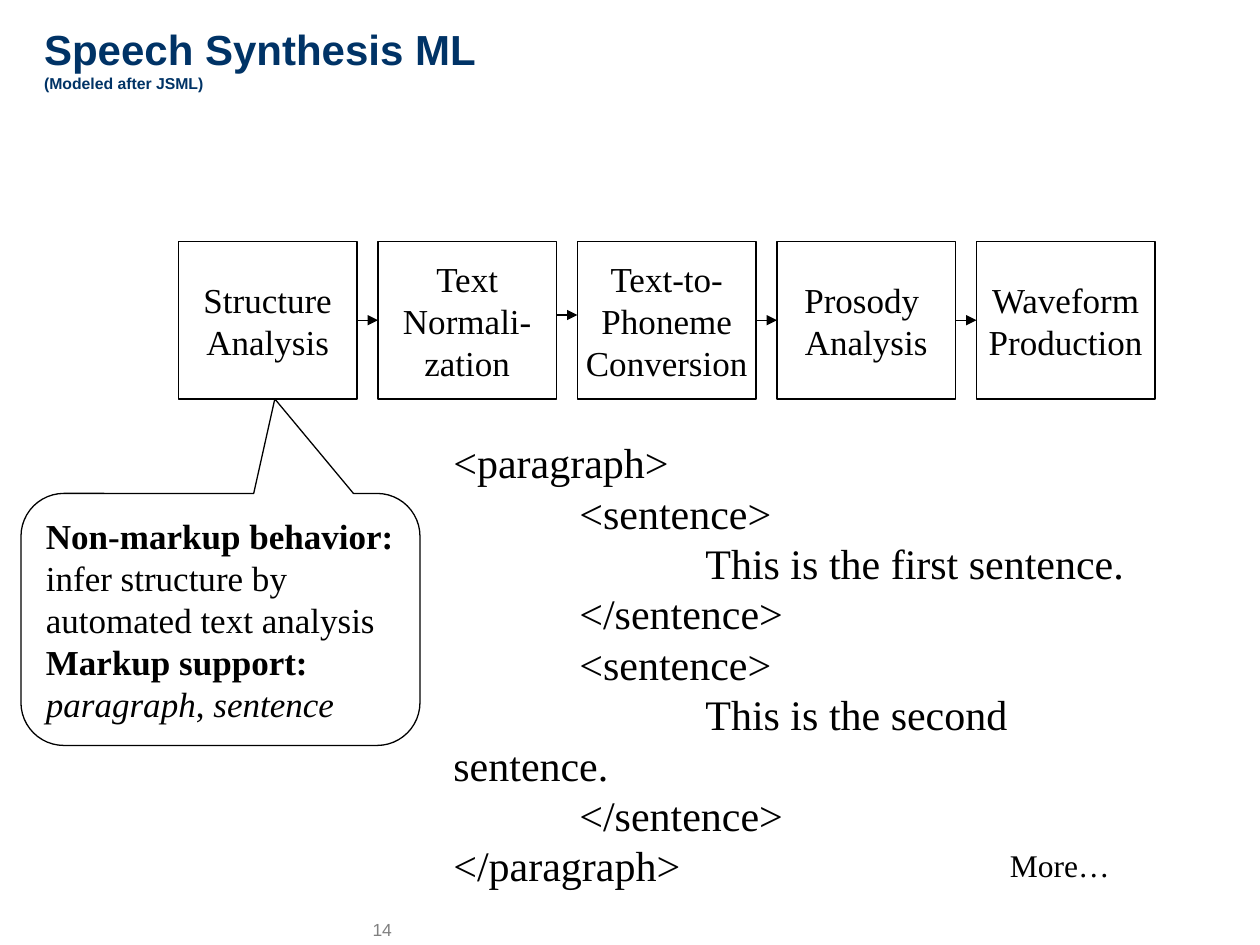
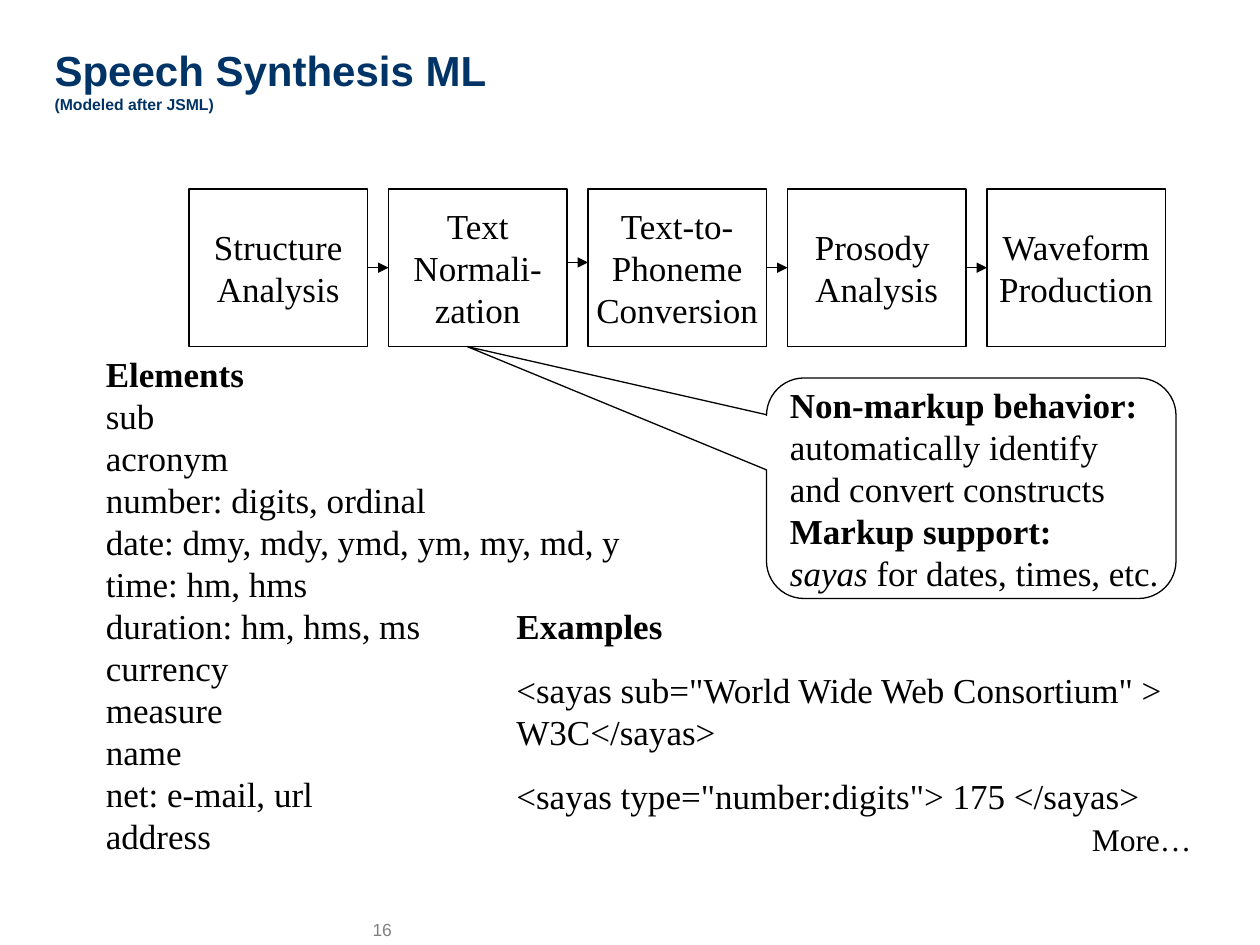
from lxml import etree
from pptx import Presentation
from pptx.dml.color import RGBColor
from pptx.enum.shapes import MSO_CONNECTOR, MSO_SHAPE
from pptx.enum.text import MSO_ANCHOR, MSO_AUTO_SIZE, PP_ALIGN
from pptx.oxml.ns import qn
from pptx.util import Inches, Pt

LEFT, CENTER = PP_ALIGN.LEFT, PP_ALIGN.CENTER
MIDDLE, TOP = MSO_ANCHOR.MIDDLE, MSO_ANCHOR.TOP
FIXED, GROW = MSO_AUTO_SIZE.NONE, MSO_AUTO_SIZE.SHAPE_TO_FIT_TEXT
RECTANGLE = MSO_SHAPE.RECTANGLE
CALLOUT = MSO_SHAPE.ROUNDED_RECTANGULAR_CALLOUT
STRAIGHT = MSO_CONNECTOR.STRAIGHT

COLORS = {"title": "003366", "ink": "000000", "page": "808080"}
SANS, SERIF = "Arial", "Times New Roman"
TITLE_ONLY = 5

# The slide is a grid of 120 columns by 90 rows.
CELL = Inches(10) / 120
STAGE_WIDTH, STAGE_HEIGHT, STAGE_GAP = 17, 15, 2
STAGES = [
    ["Structure", "Analysis"],
    ["Text", "Normali-", "zation"],
    ["Text-to-", "Phoneme", "Conversion"],
    ["Prosody ", "Analysis"],
    ["Waveform", "Production"],
]
RAISED_ARROW = 1

BOLD, ITALIC = "bold", "italic"
NON_MARKUP = [("Non-markup behavior:", BOLD)]
MARKUP = [("Markup support:", BOLD)]

CODE = [
    "<paragraph>",
    "\t<sentence>",
    "\t\tThis is the first sentence.",
    "\t</sentence>",
    "\t<sentence>",
    "\t\tThis is the second sentence.",
    "\t</sentence>",
    "</paragraph>",
]
ELEMENTS = [
    [("Elements", BOLD)],
    "sub",
    "acronym",
    "number: digits, ordinal",
    "date: dmy, mdy, ymd, ym, my, md, y",
    "time: hm, hms",
    "duration: hm, hms, ms",
    "currency",
    "measure",
    "name",
    "net: e-mail, url",
    "address",
]
EXAMPLES = [
    [("Examples", BOLD)],
    '<sayas sub="World Wide Web Consortium" > W3C</sayas>',
    '<sayas type="number:digits"> 175 </sayas>',
]


def cells(*counts):
    return [round(count * CELL) for count in counts]


def color(name):
    return RGBColor.from_string(COLORS[name])


def add_run(paragraph, text, size, font=SERIF, ink="ink", style=None):
    run = paragraph.add_run()
    run.text = text
    run.font.name, run.font.size = font, Pt(size)
    run.font.color.rgb = color(ink)
    run.font.bold, run.font.italic = style == BOLD, style == ITALIC


def add_tab_stops(paragraph, count):
    """Set left tab stops one inch apart."""
    tab_list = etree.SubElement(paragraph._p.get_or_add_pPr(), qn("a:tabLst"))
    for inch in range(1, count + 1):
        etree.SubElement(tab_list, qn("a:tab"), pos=str(Inches(inch)), algn="l")


def write_lines(frame, lines, size=20, align=LEFT, anchor=MIDDLE, wrap=False,
                space_before=0, **run_format):
    """Write one paragraph per line; a line is a string or a list of (text, style)."""
    frame.word_wrap, frame.vertical_anchor = wrap, anchor
    for index, line in enumerate(lines):
        paragraph = frame.add_paragraph() if index else frame.paragraphs[0]
        paragraph.alignment = align
        if index and space_before:
            paragraph.space_before = Pt(space_before)
        parts = [(line, None)] if isinstance(line, str) else line
        if any("\t" in text for text, _ in parts):
            add_tab_stops(paragraph, 2)
        for text, style in parts:
            add_run(paragraph, text, size, style=style, **run_format)


def add_text(slide, box, lines, fit=GROW, anchor=TOP, **text_format):
    frame = slide.shapes.add_textbox(*cells(*box)).text_frame
    write_lines(frame, lines, anchor=anchor, **text_format)
    frame.auto_size = fit


def add_outlined(slide, kind, box, lines, align=LEFT):
    shape = slide.shapes.add_shape(kind, *cells(*box))
    shape.shadow.inherit = False
    shape.fill.background()
    shape.line.color.rgb, shape.line.width = color("ink"), Pt(0.75)
    write_lines(shape.text_frame, lines, align=align)
    return shape


def add_arrow(slide, left, right, row):
    arrow = slide.shapes.add_connector(STRAIGHT, *cells(left, row, right, row))
    arrow.line.color.rgb, arrow.line.width = color("ink"), Pt(0.75)
    etree.SubElement(arrow.line._get_or_add_ln(), qn("a:tailEnd"), type="triangle")
    etree.SubElement(arrow._element.spPr, qn("a:effectLst"))


def add_pipeline(slide, left, top):
    for index, words in enumerate(STAGES):
        column = left + index * (STAGE_WIDTH + STAGE_GAP)
        box = (column, top, STAGE_WIDTH, STAGE_HEIGHT)
        add_outlined(slide, RECTANGLE, box, words, CENTER)
        if index < len(STAGES) - 1:
            row = top + STAGE_HEIGHT / 2 - (0.5 if index == RAISED_ARROW else 0)
            end = column + STAGE_WIDTH
            add_arrow(slide, end, end + STAGE_GAP, row)


def add_callout(slide, box, tip, lines):
    """Add a speech bubble whose pointer ends at tip, a (column, row) pair."""
    left, top, width, height = box
    callout = add_outlined(slide, CALLOUT, box, lines)
    callout.adjustments[0] = (tip[0] - left) / width - 0.5
    callout.adjustments[1] = (tip[1] - top) / height - 0.5
    callout.adjustments[2] = 0.17


def add_title(slide, box):
    title = slide.shapes.title
    title.left, title.top, title.width, title.height = cells(*box)
    frame = title.text_frame
    frame.auto_size, frame.vertical_anchor = FIXED, MIDDLE
    paragraph = frame.paragraphs[0]
    paragraph.alignment = LEFT
    add_run(paragraph, "Speech Synthesis ML", 24, SANS, "title", BOLD)
    paragraph.add_line_break()
    etree.SubElement(paragraph._p[-1], qn("a:rPr"), sz="2400")
    add_run(paragraph, "(Modeled after JSML)", 9, SANS, "title", BOLD)


def start_slide(presentation, number, title_box, pipeline_at):
    """Add a slide with the parts that both slides share."""
    slide = presentation.slides.add_slide(presentation.slide_layouts[TITLE_ONLY])
    add_text(slide, (34.3, 87, 4, 3), [number], fit=FIXED, anchor=MIDDLE,
             size=10, font=SANS, ink="page")
    add_title(slide, title_box)
    add_pipeline(slide, *pipeline_at)
    return slide


def add_more(slide, left, top):
    add_text(slide, (left, top, 11.9, 4.8), ["More…"], size=18)


def build_structure_slide(presentation):
    left, top = 17, 23
    slide = start_slide(presentation, "14", (3, 0, 74, 11), (left, top))
    tip = (left + 0.54 * STAGE_WIDTH, top + STAGE_HEIGHT)
    add_callout(slide, (2, 47, 38, 24), tip, [
        NON_MARKUP, "infer structure by", "automated text analysis", MARKUP,
        [("paragraph", ITALIC), (", ", None), ("sentence", ITALIC)],
    ])
    add_text(slide, (42, 41, 70.9, 39.6), CODE, size=24)
    add_more(slide, 95, 80)


def build_normalization_slide(presentation):
    left, top = 18, 18
    slide = start_slide(presentation, "16", (4, 0, 102, 15), (left, top))
    second_stage = left + STAGE_WIDTH + STAGE_GAP
    tip = (second_stage + 0.44 * STAGE_WIDTH, top + STAGE_HEIGHT)
    add_callout(slide, (73, 36, 39, 21), tip, [
        NON_MARKUP, "automatically identify", "and convert constructs", MARKUP,
        [("sayas", ITALIC), (" for dates, times, etc.", None)],
    ])
    add_text(slide, (48, 57, 68, 21.4), EXAMPLES, wrap=True, space_before=12.5)
    add_text(slide, (8.9, 33, 52, 49.2), ELEMENTS)
    add_more(slide, 102.8, 77.5)


def main():
    presentation = Presentation()
    presentation.slide_width, presentation.slide_height = cells(120, 90)
    build_structure_slide(presentation)
    build_normalization_slide(presentation)
    presentation.save("out.pptx")


if __name__ == "__main__":
    main()
